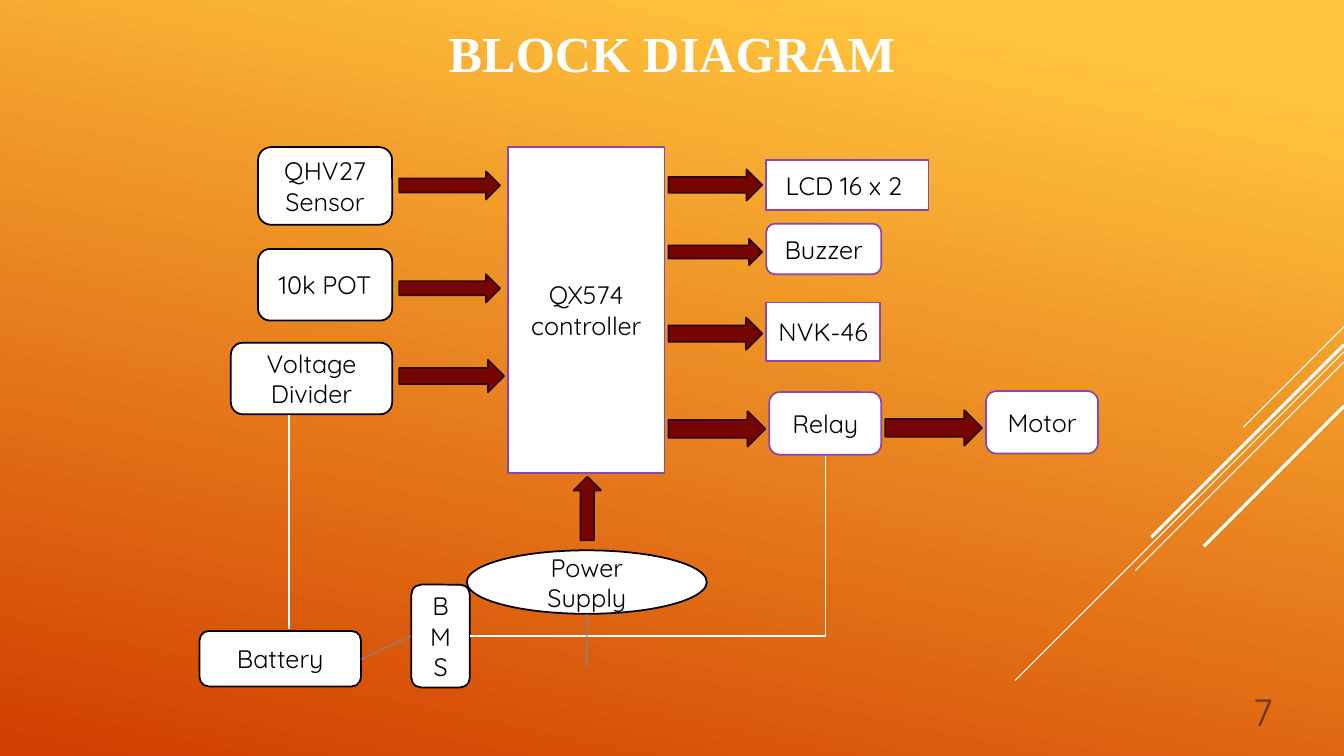
from lxml.etree import SubElement
from pptx import Presentation
from pptx.dml.color import RGBColor
from pptx.enum.shapes import MSO_CONNECTOR, MSO_SHAPE
from pptx.enum.text import MSO_ANCHOR, PP_ALIGN
from pptx.oxml.ns import qn
from pptx.util import Inches, Pt

WHITE, BLACK, PURPLE, GREY = "FFFFFF", "000000", "8B48A8", "858585"
ARROW_FILL, ARROW_EDGE = "760603", "310100"
ROUND, RECT, OVAL = MSO_SHAPE.ROUNDED_RECTANGLE, MSO_SHAPE.RECTANGLE, MSO_SHAPE.OVAL

NODES = [
    ("QHV27 Sensor", ROUND, BLACK, (2.56, 1.46, 1.33, 0.77)),
    ("10k POT", ROUND, BLACK, (2.56, 2.47, 1.33, 0.71)),
    ("Voltage Divider", ROUND, BLACK, (2.29, 3.4, 1.6, 0.71)),
    ("Power Supply", OVAL, BLACK, (4.63, 5.46, 2.38, 0.63)),
    ("QX574\ncontroller", RECT, PURPLE, (5.04, 1.46, 1.55, 3.23)),
    ("LCD 16 x 2 ", RECT, PURPLE, (7.6, 1.59, 1.61, 0.49)),
    ("Buzzer", ROUND, PURPLE, (7.6, 2.22, 1.14, 0.5)),
    ("NVK-46", RECT, PURPLE, (7.6, 3, 1.13, 0.58)),
    ("Relay", ROUND, PURPLE, (7.63, 3.89, 1.11, 0.62)),
    ("Battery", ROUND, BLACK, (1.98, 6.26, 1.6, 0.55)),
    ("BMS", ROUND, BLACK, (4.08, 5.8, 0.58, 1.02)),
    ("Motor", ROUND, PURPLE, (9.78, 3.88, 1.11, 0.62)),
]

INPUT_ARROWS = [(3.96, 1.7, 1, 0.28), (3.96, 2.72, 1, 0.28), (3.96, 3.57, 1.04, 0.32)]
OUTPUT_ARROWS = [(6.63, 1.68, 0.93, 0.31), (6.63, 2.37, 0.93, 0.26),
                 (6.63, 3.15, 0.93, 0.32), (6.63, 4.08, 0.96, 0.35)]
MOTOR_ARROW = (8.78, 4.07, 0.96, 0.35)
SUPPLY_ARROW = (5.51, 4.91, 0.63, 0.27)

RIGHT_EDGE = 13.33
DIAGONALS = [(3.24, 1, 0.75), (3.49, 3.26, 0.75), (3.59, 2.07, 0.75),
             (3.42, 1.91, 2.25), (4.03, 1.39, 2.25)]


def color(value):
    return RGBColor.from_string(value)


def inches(values):
    return [Inches(value) for value in values]


def write(frame, text, align=PP_ALIGN.CENTER, ink=BLACK, **formats):
    for index, line in enumerate(text.split("\n")):
        para = frame.add_paragraph() if index else frame.paragraphs[0]
        para.alignment = align
        span = para.add_run()
        span.text = line
        span.font.color.rgb = color(ink)
        for name, value in {"name": "Quicksand", "size": Pt(18), **formats}.items():
            setattr(span.font, name, value)


def add_figure(page, kind, bounds, fill, edge):
    figure = page.shapes.add_shape(kind, *inches(bounds))
    figure.shadow.inherit = False
    figure.fill.solid()
    figure.fill.fore_color.rgb = color(fill)
    figure.line.color.rgb = color(edge)
    figure.line.width = Pt(1.25)
    return figure


def add_node(page, text, kind, edge, bounds):
    frame = add_figure(page, kind, bounds, WHITE, edge).text_frame
    frame.word_wrap = True
    frame.vertical_anchor = MSO_ANCHOR.MIDDLE
    write(frame, text)


def add_arrow(page, bounds, rotation=0):
    add_figure(page, MSO_SHAPE.RIGHT_ARROW, bounds, ARROW_FILL, ARROW_EDGE).rotation = rotation


def add_line(page, ends, width, ink=WHITE, kind=MSO_CONNECTOR.STRAIGHT, opacity=None):
    line = page.shapes.add_connector(kind, *inches(ends))
    line.line.color.rgb = color(ink)
    line.line.width = Pt(width)
    properties = line._element.spPr
    SubElement(properties, qn("a:effectLst"))
    if opacity:
        tint = next(properties.iter(qn("a:srgbClr")))
        SubElement(tint, qn("a:alpha")).set("val", str(opacity * 1000))
    return line


def add_corner(page, ends, width):
    properties = add_line(page, ends, width, kind=MSO_CONNECTOR.ELBOW)._element.spPr
    properties.find(qn("a:xfrm")).set("rot", str(90 * 60000))
    properties.find(qn("a:prstGeom")).set("prst", "bentConnector2")


def paint_background(page):
    fill = page.background.fill
    fill.gradient()
    fill.gradient_angle = 360 - 102
    for stop, (position, value) in zip(fill.gradient_stops, [(0.1, "FFC43D"), (1, "D13E00")]):
        stop.position = position
        stop.color.rgb = color(value)


def add_title(page, text):
    title = page.shapes.title
    bounds = dict(zip(("left", "top", "width", "height"), inches((1.79, -0.57, 9.75, 2.17))))
    for name, value in bounds.items():
        setattr(title, name, value)
    title.text_frame.vertical_anchor = MSO_ANCHOR.MIDDLE
    write(title.text_frame, text, ink=WHITE, name="Times New Roman", size=Pt(36), bold=True)


def add_page_number(page, text):
    frame = page.shapes.add_textbox(*inches((12.33, 6.73, 1, 0.77))).text_frame
    frame.word_wrap = True
    for side in ("left", "top", "right", "bottom"):
        setattr(frame, "margin_" + side, Inches(0.1))
    write(frame, text, PP_ALIGN.LEFT, "68370E", size=Pt(27))


def main():
    deck = Presentation()
    deck.slide_width, deck.slide_height = inches((13.33, 7.5))
    page = deck.slides.add_slide(deck.slide_layouts[5])
    paint_background(page)
    for top, reach, width in DIAGONALS:
        add_line(page, (RIGHT_EDGE, top, RIGHT_EDGE - reach, top + reach), width)
    add_title(page, "BLOCK DIAGRAM")
    for node in NODES:
        add_node(page, *node)
    for bounds in INPUT_ARROWS + OUTPUT_ARROWS + [MOTOR_ARROW]:
        add_arrow(page, bounds)
    add_arrow(page, SUPPLY_ARROW, 270)
    add_corner(page, (5.53, 3.65, 7.32, 7.18), 1)
    add_line(page, (2.87, 4.12, 2.87, 6.24), 1.5)
    for ends in [(5.82, 6.09, 5.82, 6.61), (4.08, 6.31, 3.58, 6.54)]:
        add_line(page, ends, 1.5, GREY, opacity=60)
    add_page_number(page, "7")
    deck.save("out.pptx")


if __name__ == "__main__":
    main()
